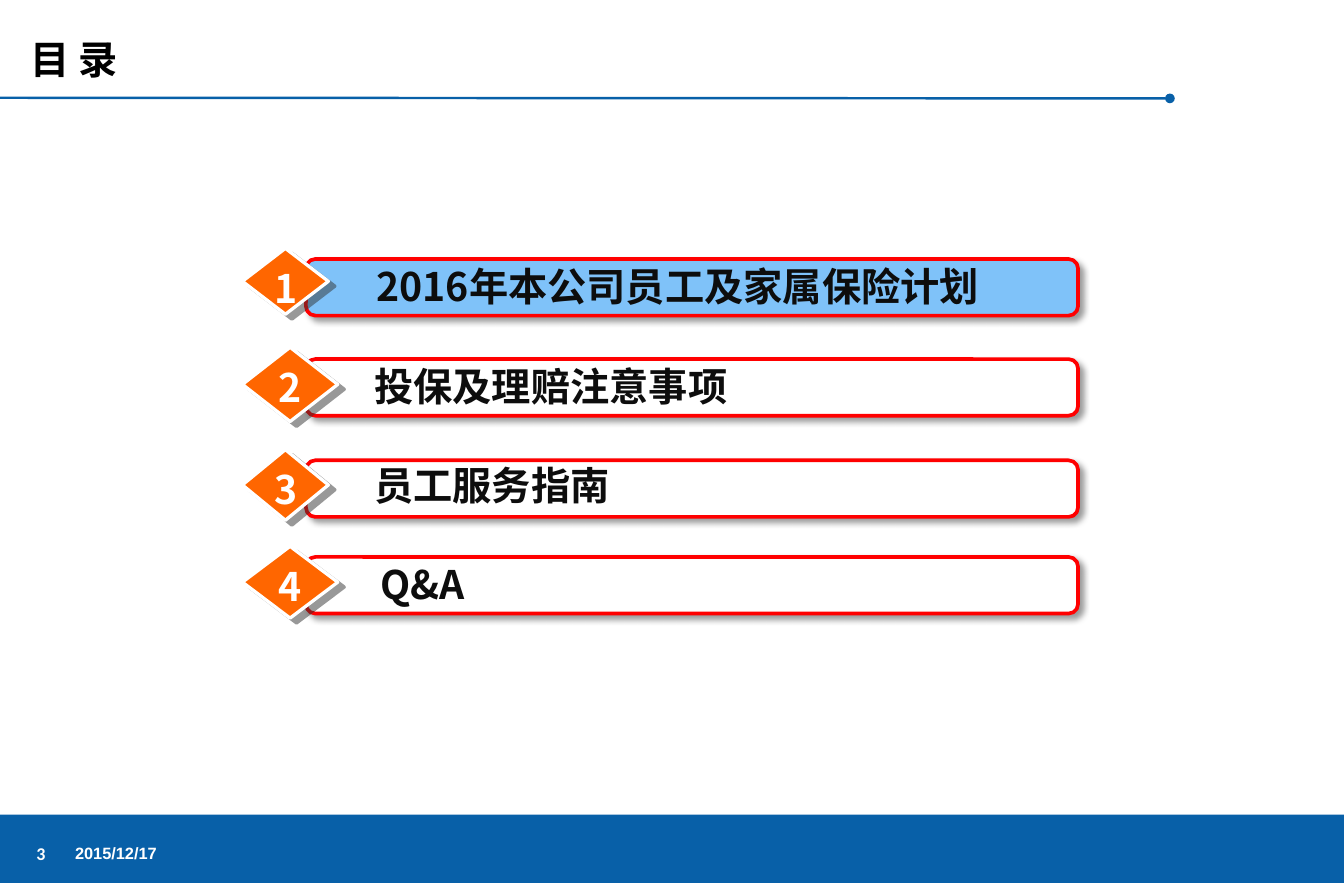
from pptx import Presentation
from pptx.dml.color import RGBColor
from pptx.enum.shapes import MSO_CONNECTOR, MSO_SHAPE
from pptx.enum.text import MSO_ANCHOR, MSO_AUTO_SIZE, PP_ALIGN
from pptx.oxml.ns import qn
from pptx.oxml.xmlchemy import OxmlElement
from pptx.util import Pt

RECTANGLE = MSO_SHAPE.RECTANGLE
ROUNDED = MSO_SHAPE.ROUNDED_RECTANGLE
DIAMOND = MSO_SHAPE.DIAMOND
STRAIGHT = MSO_CONNECTOR.STRAIGHT
MIDDLE = MSO_ANCHOR.MIDDLE
NO_AUTOFIT = MSO_AUTO_SIZE.NONE
LEFT, CENTER = PP_ALIGN.LEFT, PP_ALIGN.CENTER

BLUE = RGBColor(0x08, 0x60, 0xA8)
LIGHT_BLUE = RGBColor(0x7F, 0xC2, 0xF9)
RED = RGBColor(0xFF, 0x00, 0x00)
ORANGE = RGBColor(0xFF, 0x66, 0x00)
WHITE = RGBColor(0xFF, 0xFF, 0xFF)
BLACK = RGBColor(0x00, 0x00, 0x00)
INK = RGBColor(0x0D, 0x0D, 0x0D)
DARK_GRAY = RGBColor(0x33, 0x33, 0x33)

CJK_FONT = "Noto Sans CJK SC"
WIDTH, HEIGHT = 822.2, 540
BAR_WIDTH, BAR_HEIGHT = 472.3, 34.6

# Each item: wording, bar top, text left and top, diamond top, width and height
ITEMS = [
    ("2016年本公司员工及家属保险计划", 158.4, 223.2, 157, 151.9, 52.6, 40.3),
    ("投保及理赔注意事项", 219.6, 221.8, 218.2, 212.4, 58.3, 45.4),
    ("员工服务指南", 281.5, 221.8, 278.6, 275, 52.6, 43.2),
    ("Q&A", 340.6, 225.4, 339.1, 334.1, 58.3, 43.9),
]


def write_text(shape, text, size=24, font=CJK_FONT, color=INK, align=LEFT, wrap=True):
    frame = shape.text_frame
    frame.auto_size = NO_AUTOFIT
    frame.word_wrap = wrap
    frame.vertical_anchor = MIDDLE
    paragraph = frame.paragraphs[0]
    paragraph.alignment = align
    run = paragraph.add_run()
    run.text = text
    run.font.name = font
    run.font.size = Pt(size)
    run.font.bold = True
    run.font.color.rgb = color
    east_asian = OxmlElement("a:ea")
    east_asian.set("typeface", font)
    run.font._element.find(qn("a:latin")).addnext(east_asian)


def add_label(shapes, box, text, **text_format):
    label = shapes.add_textbox(*map(Pt, box))
    write_text(label, text, **text_format)


def add_block(shapes, kind, box, fill, line=None, line_width=0):
    block = shapes.add_shape(kind, *map(Pt, box))
    block.shadow.inherit = False
    block.fill.solid()
    block.fill.fore_color.rgb = fill
    if line is None:
        block.line.fill.background()
    else:
        block.line.color.rgb = line
        block.line.width = Pt(line_width)
    return block


def cast_shadow(shape, color, opacity, blur, distance, angle):
    shadow = OxmlElement("a:outerShdw")
    shadow.set("blurRad", str(Pt(blur)))
    shadow.set("dist", str(Pt(distance)))
    shadow.set("dir", str(angle * 60000))
    shadow.set("algn", "tl")
    shadow.set("rotWithShape", "0")
    shadow_color = OxmlElement("a:srgbClr")
    shadow_color.set("val", str(color))
    alpha = OxmlElement("a:alpha")
    alpha.set("val", str(opacity * 1000))
    shadow_color.append(alpha)
    shadow.append(shadow_color)
    shape._element.spPr.find(qn("a:effectLst")).append(shadow)


def add_header(slide, left, top):
    # Title
    title = slide.shapes.title
    title.left, title.top = Pt(left + 11.5), Pt(top + 18)
    title.width, title.height = Pt(87.8), Pt(36)
    write_text(title, "目 录", color=BLACK)

    # Rule with a round end
    rule = slide.shapes.add_connector(
        STRAIGHT, Pt(left), Pt(top + 59.8), Pt(left + 715.7), Pt(top + 60.2))
    rule.line.color.rgb = BLUE
    rule.line.width = Pt(1.5)
    tail = OxmlElement("a:tailEnd")
    tail.set("type", "oval")
    rule.line._get_or_add_ln().append(tail)
    rule._element.spPr.append(OxmlElement("a:effectLst"))


def add_item(slide, left, number, item, fill):
    wording, bar_top, text_left, text_top, diamond_top, width, height = item

    # Bar and its wording
    bar_box = (left + 38.9, bar_top, BAR_WIDTH, BAR_HEIGHT)
    bar = add_block(slide.shapes, ROUNDED, bar_box, fill, RED, 2.25)
    bar.adjustments[0] = 0.167
    cast_shadow(bar, BLACK, opacity=40, blur=4, distance=3, angle=45)
    add_label(slide.shapes, (text_left, text_top, 440.6, 36), wording)

    # Numbered diamond
    badge = slide.shapes.add_group_shape()
    diamond_box = (left, diamond_top, width, height)
    diamond = add_block(badge.shapes, DIAMOND, diamond_box, ORANGE, WHITE, 2)
    cast_shadow(diamond, DARK_GRAY, opacity=50, blur=0, distance=5, angle=37)
    number_box = (left + width / 2 - 14.5, diamond_top + 6.2, 29.5, 36)
    add_label(badge.shapes, number_box, str(number), color=WHITE, align=CENTER, wrap=False)


def add_agenda(slide, left):
    for number, item in enumerate(ITEMS, start=1):
        add_item(slide, left, number, item, LIGHT_BLUE if number == 1 else WHITE)


def add_footer(slide, left, top, width, height):
    add_block(slide.shapes, RECTANGLE, (left, top, width, height), BLUE)
    # Page number and date
    add_label(slide.shapes, (left + 15.1, top + 11.5, 37.4, 23.8), "3",
              size=11, font="Calibri", color=WHITE)
    add_label(slide.shapes, (left + 38.9, top + 11.5, 67.7, 23.8), "2015/12/17",
              size=10, font="Arial", color=WHITE, wrap=False)


def main():
    presentation = Presentation()
    presentation.slide_width, presentation.slide_height = Pt(WIDTH), Pt(HEIGHT)
    title_only = presentation.slide_layouts[5]
    slide = presentation.slides.add_slide(title_only)
    add_header(slide, 0, 0)
    add_agenda(slide, 148.3)
    add_footer(slide, 0, 498.2, WIDTH, 41.8)
    presentation.save("out.pptx")


if __name__ == "__main__":
    main()
